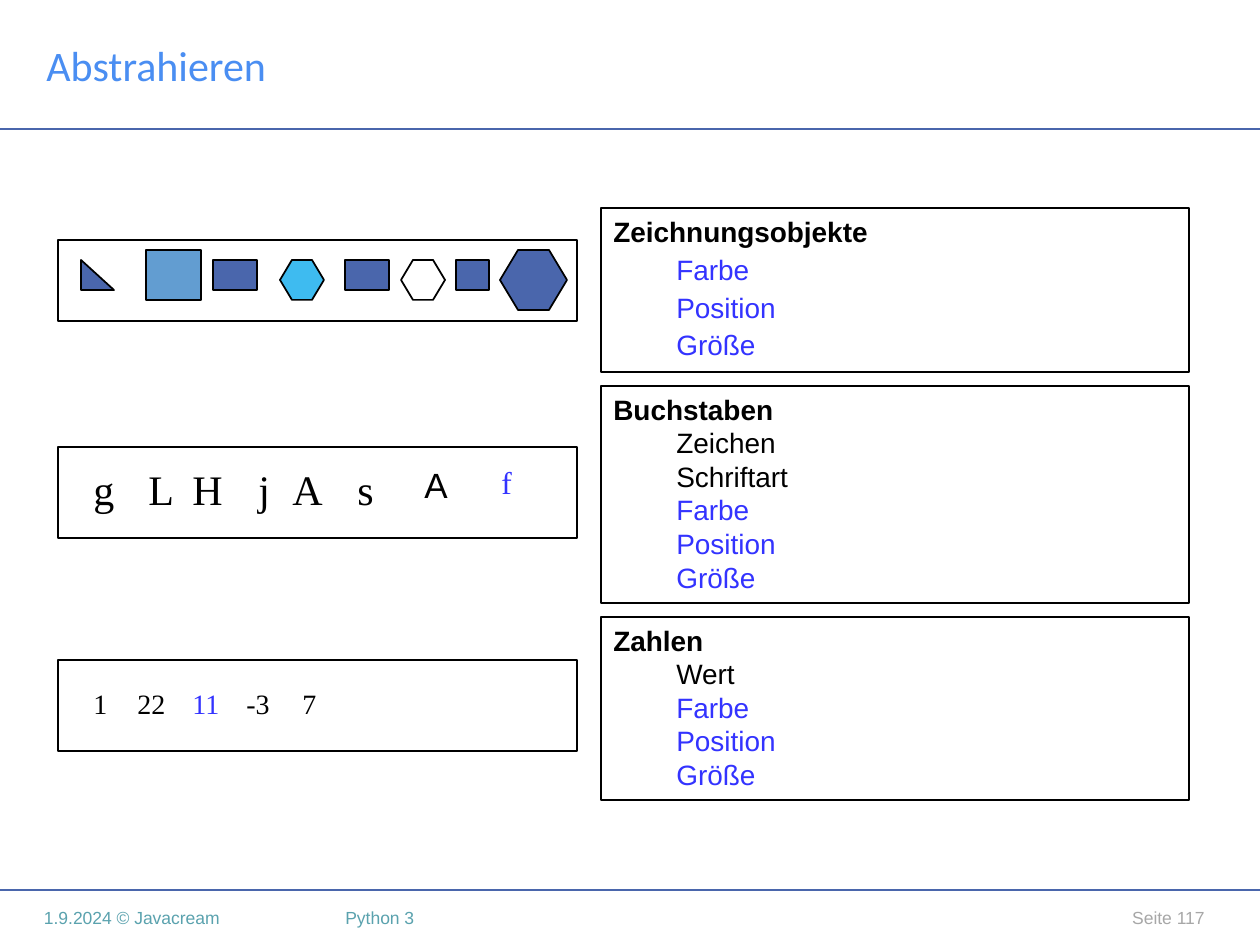
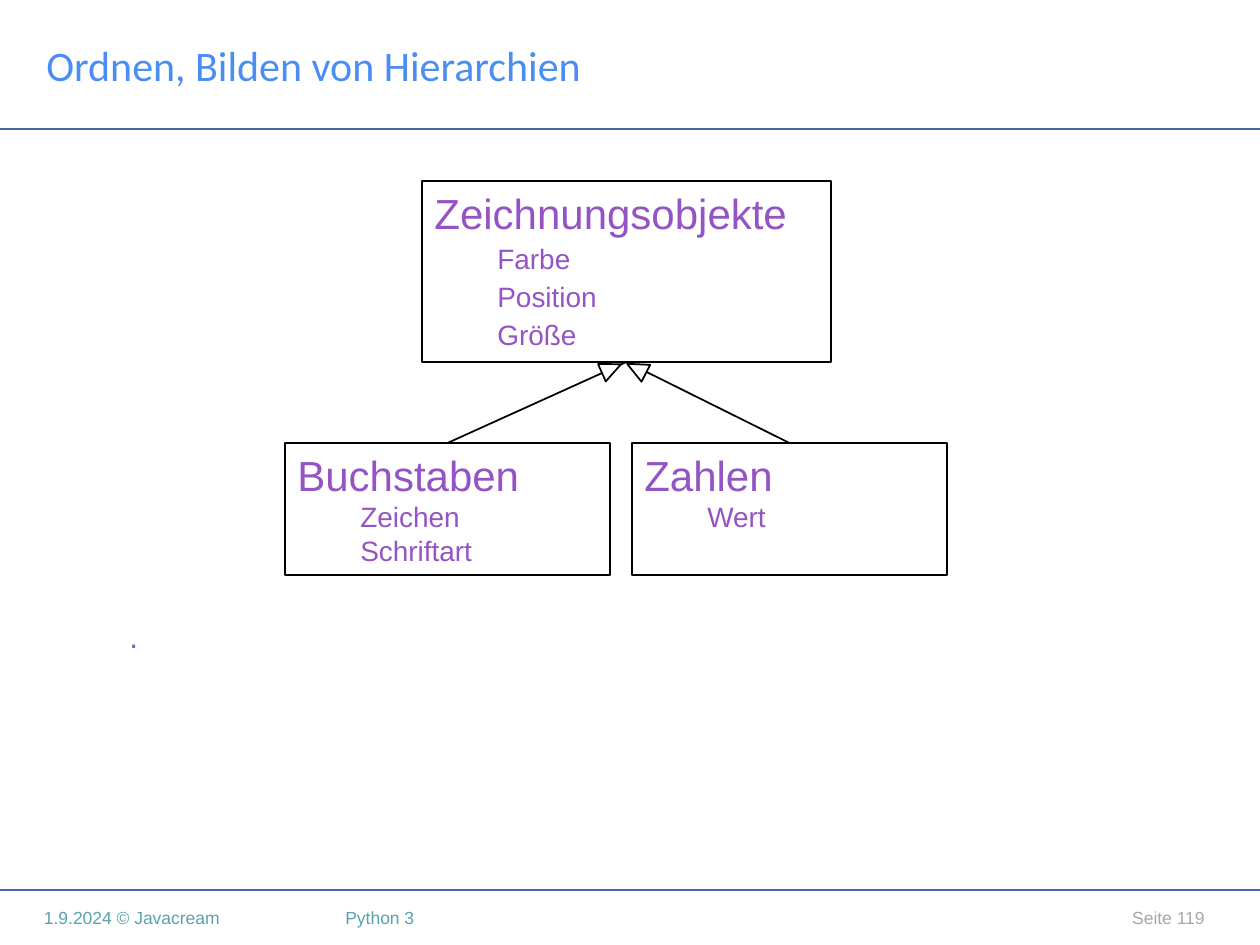
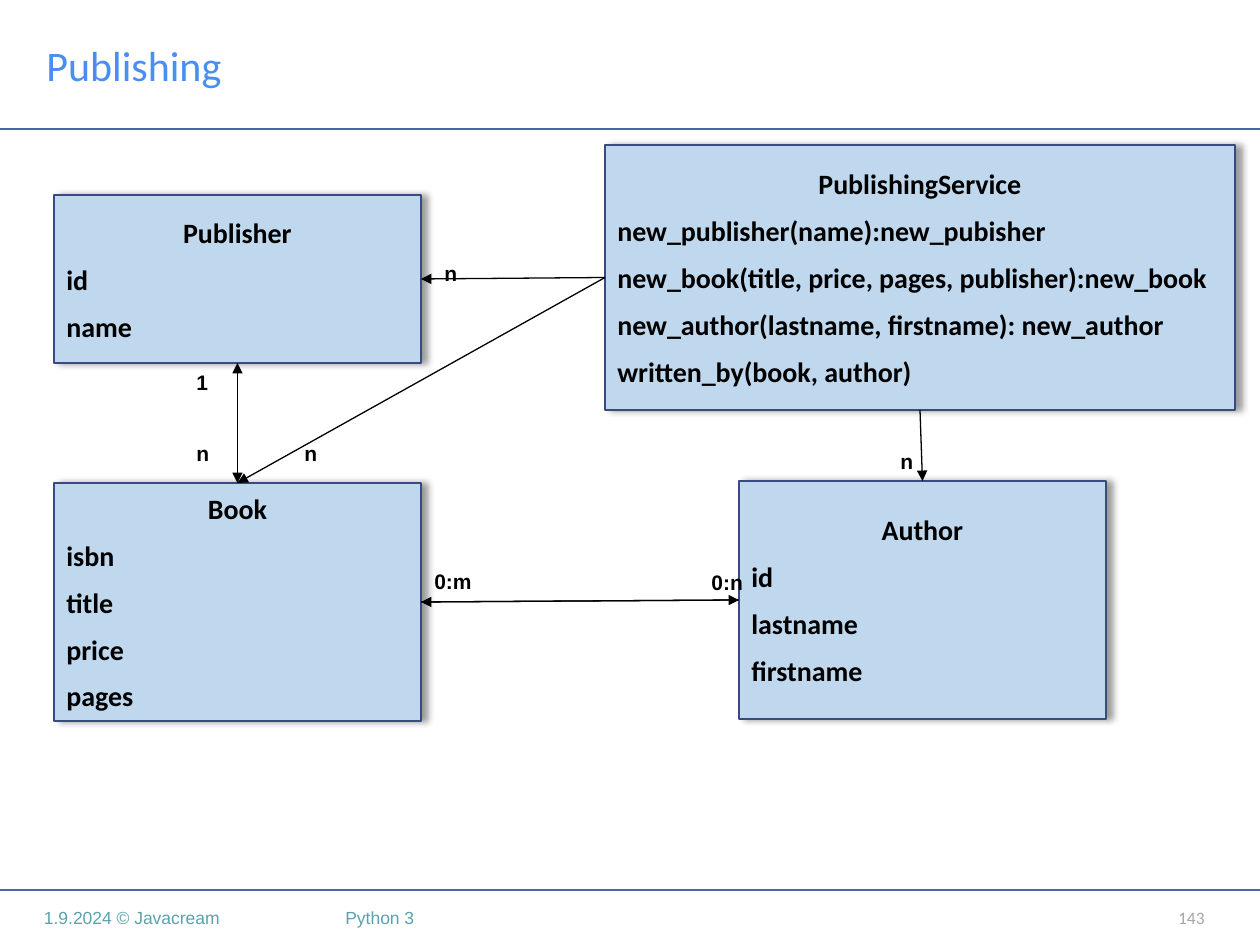
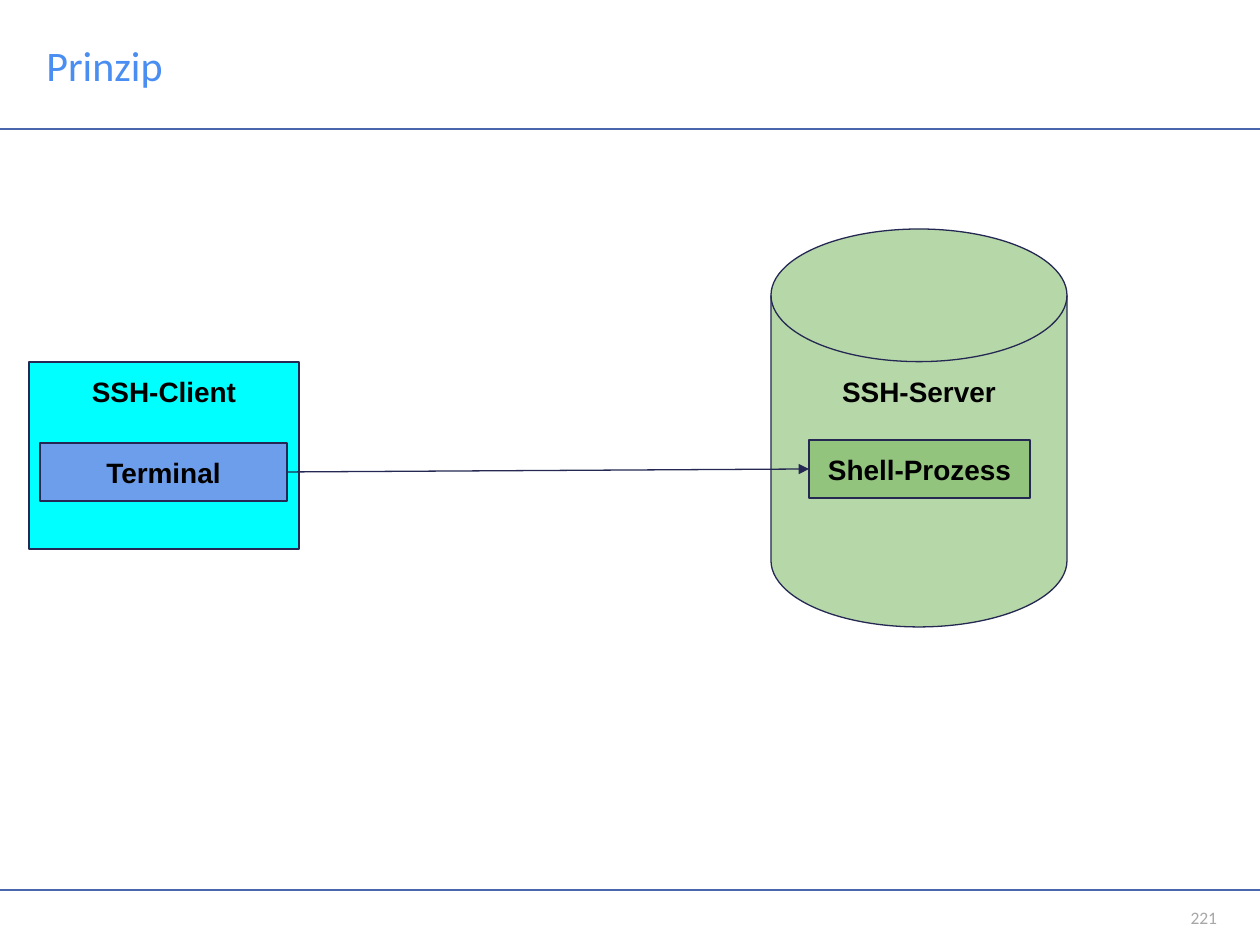
from dataclasses import dataclass

from lxml import etree
from pptx import Presentation
from pptx.dml.color import RGBColor
from pptx.enum.shapes import MSO_CONNECTOR, MSO_SHAPE
from pptx.enum.text import MSO_ANCHOR, PP_ALIGN
from pptx.oxml.ns import qn
from pptx.util import Emu, Pt

STRAIGHT = MSO_CONNECTOR.STRAIGHT
RECT, HEXAGON = MSO_SHAPE.RECTANGLE, MSO_SHAPE.HEXAGON
RIGHT_TRIANGLE, TRIANGLE = MSO_SHAPE.RIGHT_TRIANGLE, MSO_SHAPE.ISOSCELES_TRIANGLE
DISK = MSO_SHAPE.FLOWCHART_MAGNETIC_DISK
LEFT, CENTER, RIGHT = PP_ALIGN.LEFT, PP_ALIGN.CENTER, PP_ALIGN.RIGHT
TOP, MIDDLE = MSO_ANCHOR.TOP, MSO_ANCHOR.MIDDLE
SIDE_TOP, SIDE_LEFT, SIDE_BOTTOM, SIDE_RIGHT = range(4)

EMU_PER_PX = 914400 / 126
PAGE_W, PAGE_H = 1260, 945
HEAD_H, FOOT_Y = 129, 890
INDENT = 63


@dataclass(frozen=True)
class Theme:
    # colours
    black: str = "000000"
    white: str = "FFFFFF"
    title: str = "4A8EF2"
    rule: str = "4A66AC"
    footer: str = "5AA2AE"
    number: str = "A7A7A7"
    common: str = "3333FF"
    purple: str = "9454C3"
    steel: str = "629DD1"
    sky: str = "3EBBF0"
    entity: str = "C0D8ED"
    entity_line: str = "374B7F"
    navy: str = "242852"
    cyan: str = "00FFFF"
    terminal: str = "6D9EEB"
    server: str = "B6D7A8"
    process: str = "93C47D"
    # fonts
    sans: str = "Arial"
    heading: str = "Calibri"
    serif: str = "Times New Roman"
    # type sizes and spacing in points
    huge: int = 24
    large: int = 20
    medium: int = 18
    body: int = 16
    label: int = 12
    small: int = 10
    tight: float = 2.5
    loose: float = 7.6


THEME = Theme()


@dataclass
class Line:
    """One paragraph of text with its format."""
    text: str
    size: int = THEME.body
    color: str = THEME.black
    name: str = THEME.sans
    bold: bool = False
    align: PP_ALIGN = LEFT
    indent: int = 0
    before: float = 0


# ---- basic parts ----

def px(value):
    return Emu(round(value * EMU_PER_PX))


def rgb(code):
    return RGBColor.from_string(code)


def write(shape, lines, anchor=TOP, inset=None, wrap=True):
    frame = shape.text_frame
    frame.word_wrap, frame.vertical_anchor = wrap, anchor
    if inset is not None:
        for side in ("left", "top", "right", "bottom"):
            setattr(frame, f"margin_{side}", px(inset))
    for i, line in enumerate(lines):
        para = frame.add_paragraph() if i else frame.paragraphs[0]
        para.alignment = line.align
        if line.indent:
            para.level = 1
            para._p.get_or_add_pPr().set("marL", str(px(line.indent)))
        if i and line.before:
            para.space_before = Pt(line.before)
        span = para.add_run()
        span.text = line.text
        formats = {"name": line.name, "size": Pt(line.size), "bold": line.bold}
        for key, value in formats.items():
            setattr(span.font, key, value)
        span.font.color.rgb = rgb(line.color)


def add_text(page, box, line, **options):
    text_box = page.shapes.add_textbox(*map(px, box))
    write(text_box, [line], **options)
    return text_box


def add_box(page, box, fill=None, line=THEME.black, width=1, kind=RECT):
    shape = page.shapes.add_shape(kind, *map(px, box))
    shape.shadow.inherit = False
    if fill:
        shape.fill.solid()
        shape.fill.fore_color.rgb = rgb(fill)
    else:
        shape.fill.background()
    shape.line.color.rgb = rgb(line)
    shape.line.width = Pt(width)
    return shape


def add_line(page, start=(0, 0), end=(0, 0), color=THEME.black, width=1, arrow=False):
    connector = page.shapes.add_connector(STRAIGHT, *map(px, (*start, *end)))
    connector.line.color.rgb = rgb(color)
    connector.line.width = Pt(width)
    properties = connector._element.spPr
    if arrow:
        etree.SubElement(properties.find(qn("a:ln")), qn("a:tailEnd"), type="triangle")
    etree.SubElement(properties, qn("a:effectLst"))
    return connector


def join(page, source, source_side, target, target_side, **style):
    connector = add_line(page, **style)
    connector.begin_connect(source, source_side)
    connector.end_connect(target, target_side)


def add_shadow(shape):
    effects = shape._element.spPr.find(qn("a:effectLst"))
    shadow = etree.SubElement(effects, qn("a:outerShdw"), blurRad=str(Pt(4)),
                              dist=str(Pt(3)), dir="0", algn="ctr", rotWithShape="0")
    color = etree.SubElement(shadow, qn("a:srgbClr"), val=THEME.black)
    etree.SubElement(color, qn("a:alpha"), val="40000")


# ---- shared frame of every slide ----

def add_page(deck, title, number, number_font=THEME.heading, number_inset=None, footer=True):
    page = deck.slides.add_slide(deck.slide_layouts[6])
    for y in (FOOT_Y, HEAD_H):
        add_line(page, (0, y), (PAGE_W, y), THEME.rule)
    add_text(page, (34, 0, 784, HEAD_H),
             Line(title, THEME.huge, THEME.title, THEME.heading), anchor=MIDDLE)
    foot_h = PAGE_H - FOOT_Y
    if footer:
        for text, x, w, inset in (("1.9.2024 © Javacream", 44, 277, 0),
                                  ("Python 3", 333, 745, None)):
            add_text(page, (x, FOOT_Y, w, foot_h),
                     Line(text, THEME.small, THEME.footer), anchor=MIDDLE, inset=inset)
    add_text(page, (1102, FOOT_Y, 115, foot_h),
             Line(number, THEME.small, THEME.number, number_font, align=RIGHT),
             anchor=MIDDLE, inset=number_inset)
    return page


# ---- abstraction: examples on the left, attributes on the right ----

def attribute_panel(page, box, head, attributes, before=0):
    """Attributes are (text, colour) pairs below the Line given as head."""
    panel = add_box(page, box)
    rows = [Line(text, color=color, indent=INDENT, before=before)
            for text, color in attributes]
    write(panel, [head, *rows])
    return panel


def drawing_strip(page, x, y, w, h):
    add_box(page, (x, y, w, h))
    drawings = (
        (RIGHT_TRIANGLE, 23, 20, 33, 30, THEME.rule),
        (RECT, 88, 10, 55, 50, THEME.steel),
        (RECT, 155, 20, 44, 30, THEME.rule),
        (HEXAGON, 222, 20, 44, 40, THEME.sky),
        (RECT, 287, 20, 44, 30, THEME.rule),
        (HEXAGON, 343, 20, 44, 40, None),
        (RECT, 398, 20, 33, 30, THEME.rule),
        (HEXAGON, 442, 10, 67, 60, THEME.rule),
    )
    for kind, dx, dy, dw, dh, fill in drawings:
        drawing = add_box(page, (x + dx, y + dy, dw, dh), fill, kind=kind)
        if kind == HEXAGON:
            drawing.adjustments[0] = 0.3


def letter_strip(page, x, y, w, h):
    add_box(page, (x, y, w, h))
    letters = [(dx, 63, Line(text, THEME.huge, name=THEME.serif))
               for text, dx in zip("gLHjAs", (23, 78, 122, 188, 222, 287))]
    letters += [(354, 54, Line("A", THEME.large)),
                (431, 50, Line("f", THEME.medium, THEME.common, THEME.serif))]
    for dx, height, line in letters:
        add_text(page, (x + dx, y + 10, 55, height), line)


def number_strip(page, x, y, w, h):
    add_box(page, (x, y, w, h))
    numbers = (("1", 23, 39), ("22", 67, 54), ("11", 122, 53), ("-3", 176, 49), ("7", 232, 39))
    for text, dx, width in numbers:
        color = THEME.common if text == "11" else THEME.black
        add_text(page, (x + dx, y + 20, width, 47),
                 Line(text, color=color, name=THEME.serif), wrap=False)


def abstraction_slide(deck):
    page = add_page(deck, "Abstrahieren", "Seite 117", THEME.sans)
    common = [(text, THEME.common) for text in ("Farbe", "Position", "Größe")]
    panels = (
        ("Zeichnungsobjekte", (), 164, THEME.tight),
        ("Buchstaben", ("Zeichen", "Schriftart"), 217, 0),
        ("Zahlen", ("Wert",), 183, 0),
    )
    y, gap = 208, 14
    for name, own, height, before in panels:
        attributes = [(text, THEME.black) for text in own] + common
        attribute_panel(page, (601, y, 588, height), Line(name, bold=True),
                        attributes, before)
        y += height + gap
    drawing_strip(page, 58, 240, 519, 81)
    letter_strip(page, 58, 447, 519, 91)
    number_strip(page, 58, 660, 519, 91)


# ---- hierarchy ----

def hierarchy_slide(deck):
    page = add_page(deck, "Ordnen, Bilden von Hierarchien", "Seite 119", THEME.sans)
    add_text(page, (117, 611, 1061, 50), Line(".", THEME.medium, THEME.purple))

    def class_panel(box, name, own, before=0):
        return attribute_panel(page, box, Line(name, THEME.huge, THEME.purple),
                               [(text, THEME.purple) for text in own], before)

    parent = class_panel((422, 181, 409, 181), "Zeichnungsobjekte",
                         ("Farbe", "Position", "Größe"), THEME.tight)
    children = (
        class_panel((285, 443, 325, 132), "Buchstaben", ("Zeichen", "Schriftart")),
        class_panel((632, 443, 315, 132), "Zahlen", ("Wert",)),
    )
    for child in children:
        join(page, child, SIDE_TOP, parent, SIDE_BOTTOM)
    # hollow inheritance heads
    for x, angle in ((602, 66), (627, 297.1)):
        head = add_box(page, (x, 358, 19, 21), THEME.white, kind=TRIANGLE)
        head.rotation = angle


# ---- entity diagram ----

def entity_box(page, box, name, members):
    entity = add_box(page, box, THEME.entity, THEME.entity_line)
    add_shadow(entity)
    style = {"name": THEME.heading, "bold": True, "before": THEME.loose}
    write(entity, [Line(name, align=CENTER, **style),
                   *(Line(member, **style) for member in members)], anchor=MIDDLE)
    return entity


def publishing_slide(deck):
    page = add_page(deck, "Publishing", "143")
    publisher = entity_box(page, (54, 195, 367, 168), "Publisher", ("id", "name"))
    book = entity_box(page, (54, 483, 367, 238), "Book",
                      ("isbn", "title", "price", "pages"))
    author = entity_box(page, (739, 481, 367, 238), "Author",
                        ("id", "lastname", "firstname"))
    service = entity_box(page, (605, 145, 630, 265), "PublishingService", (
        "new_publisher(name):new_pubisher",
        "new_book(title, price, pages, publisher):new_book",
        "new_author(lastname, firstname): new_author",
        "written_by(book, author)",
    ))
    arrow = {"width": 0.75, "arrow": True}
    # associations navigable both ways
    for first, second in (((book, SIDE_TOP), (publisher, SIDE_BOTTOM)),
                          ((book, SIDE_RIGHT), (author, SIDE_LEFT))):
        join(page, *first, *second, **arrow)
        join(page, *second, *first, **arrow)
    # service uses
    for service_side, entity, side in ((SIDE_LEFT, publisher, SIDE_RIGHT),
                                       (SIDE_LEFT, book, SIDE_TOP),
                                       (SIDE_BOTTOM, author, SIDE_TOP)):
        join(page, service, service_side, entity, side, **arrow)
    # multiplicities
    for text, x, y, w in (("1", 184, 363, 39), ("n", 184, 434, 39), ("0:n", 699, 563, 79),
                          ("0:m", 422, 562, 89), ("n", 432, 254, 39),
                          ("n", 292, 434, 39), ("n", 888, 442, 39)):
        add_text(page, (x, y, w, 38), Line(text, THEME.label, bold=True))


# ---- client and server ----

def principle_slide(deck):
    page = add_page(deck, "Prinzip", "221", number_inset=0, footer=False)

    def node(box, text, fill, anchor=TOP, kind=RECT):
        shape = add_box(page, box, fill, THEME.navy, 0.75, kind)
        write(shape, [Line(text, bold=True, align=CENTER)], anchor, inset=13)
        return shape

    node((771, 229, 296, 398), "SSH-Server", THEME.server, kind=DISK)
    node((29, 362, 270, 187), "SSH-Client", THEME.cyan)
    terminal = node((40, 443, 247, 58), "Terminal", THEME.terminal, MIDDLE)
    process = node((809, 440, 221, 58), "Shell-Prozess", THEME.process)
    join(page, terminal, SIDE_RIGHT, process, SIDE_LEFT,
         color=THEME.navy, width=0.75, arrow=True)


def main():
    deck = Presentation()
    deck.slide_width, deck.slide_height = px(PAGE_W), px(PAGE_H)
    for build in (abstraction_slide, hierarchy_slide, publishing_slide, principle_slide):
        build(deck)
    deck.save("out.pptx")


if __name__ == "__main__":
    main()
